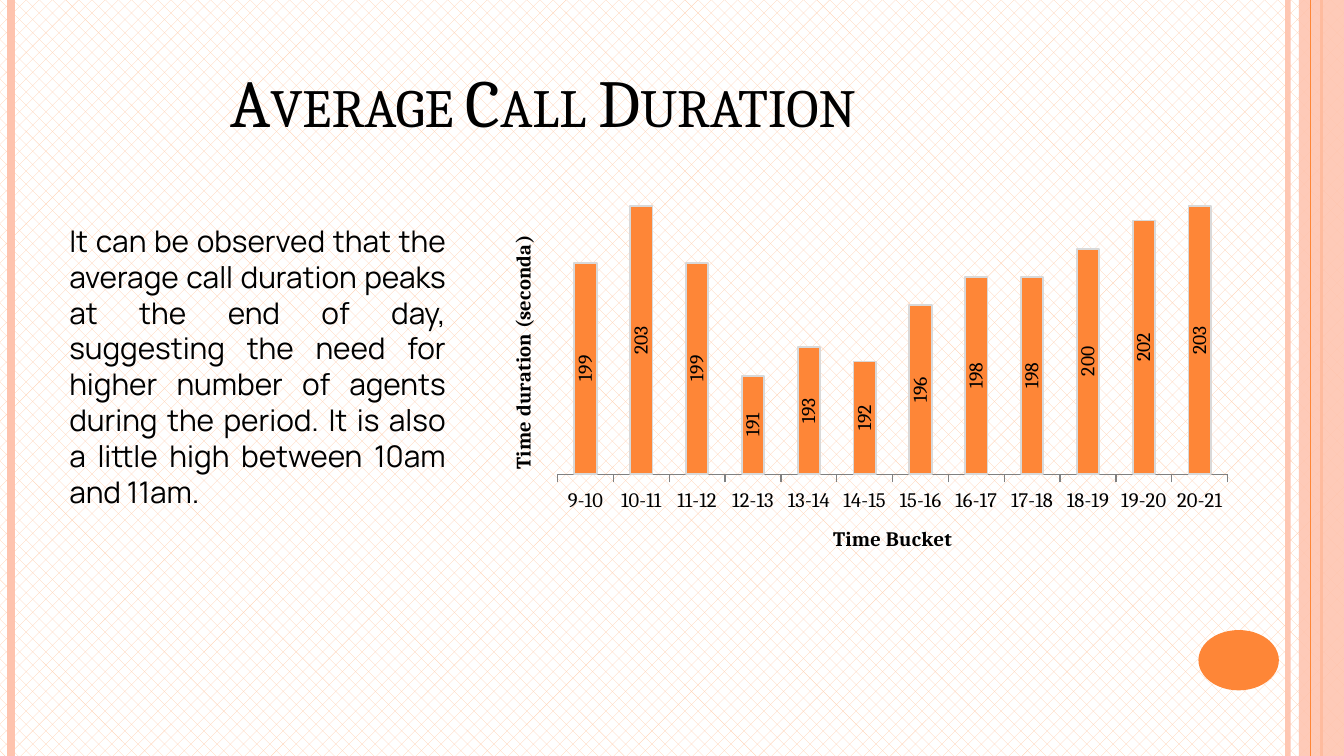
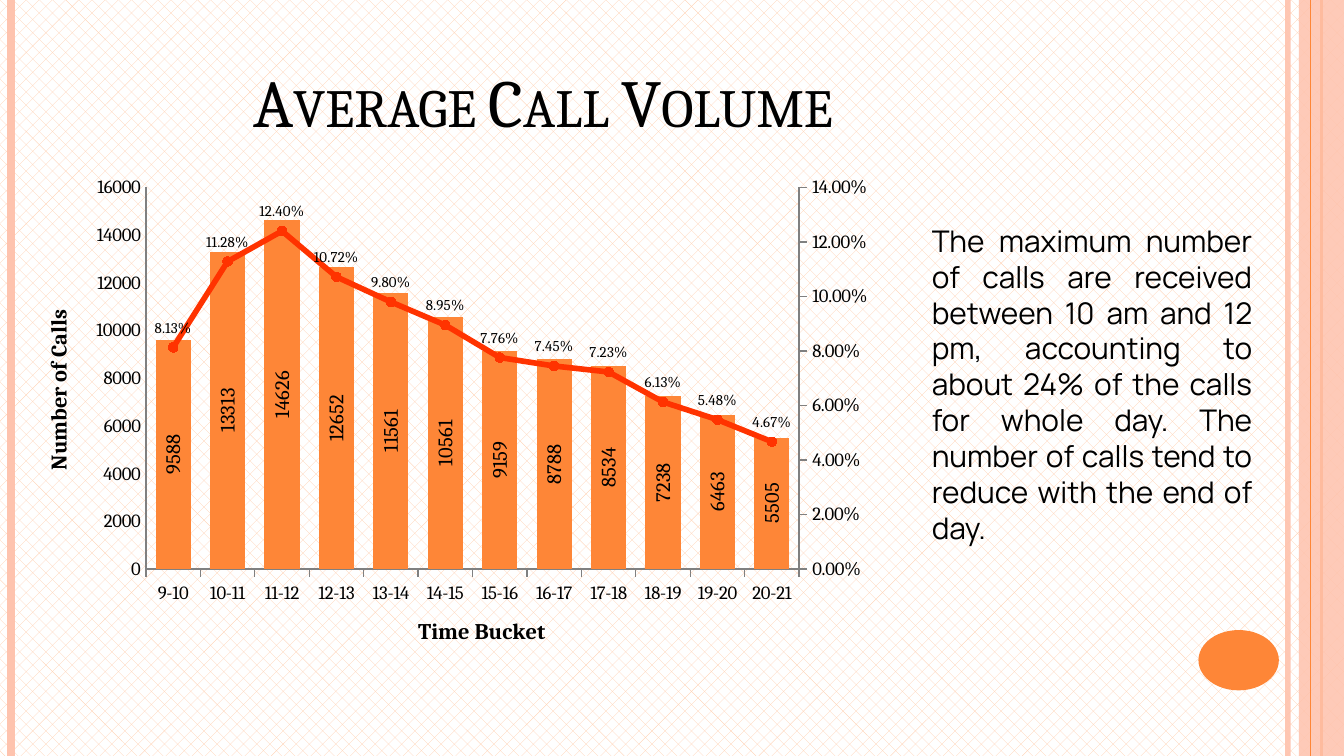
from copy import deepcopy

from lxml.etree import SubElement
from pptx import Presentation
from pptx.chart.axis import ValueAxis
from pptx.chart.data import CategoryChartData
from pptx.dml.color import RGBColor
from pptx.enum.chart import XL_CHART_TYPE as ChartType
from pptx.enum.chart import XL_LABEL_POSITION as LabelPos
from pptx.enum.chart import XL_MARKER_STYLE as Marker
from pptx.enum.chart import XL_TICK_MARK as Tick
from pptx.enum.dml import MSO_PATTERN as Pattern
from pptx.enum.shapes import MSO_CONNECTOR as Connector
from pptx.enum.shapes import MSO_SHAPE as Shape
from pptx.enum.text import MSO_ANCHOR as Anchor
from pptx.enum.text import PP_ALIGN as Align
from pptx.oxml.ns import qn
from pptx.util import Cm, Pt

COLORS = {
    "text": "000000", "paper": "FFFFFF", "hatch": "FFCFAF", "blush": "FEC3AE",
    "orange": "FE8637", "red": "FF3300", "axis": "808080", "bar_edge": "D9D9D9",
}
SERIF, SANS = "Cambria", "Manrope"
WIDTH, HEIGHT = 25.4, 14.29
UPRIGHT = "-5400000"

HOURS = [f"{hour}-{hour + 1}" for hour in range(9, 21)]

DURATION = {
    "title": "Average Call Duration",
    "remark": "It can be observed that the average call duration peaks at the end of day, "
              "suggesting the need for higher number of agents during the period. "
              "It is also a little high between 10am and 11am.",
    "remark_box": (1.06, 3.96, 7.62, 9.31),
    "chart_box": (9.1, 3.33, 14.39, 7.62),
    "plot_box": (0.1, 0.04, 0.88, 0.7),
    "seconds": (199, 203, 199, 191, 193, 192, 196, 198, 198, 200, 202, 203),
}
VOLUME = {
    "title": "Average Call Volume",
    "remark": "The maximum number of calls are received between 10 am and 12 pm, "
              "accounting to about 24% of the calls for whole day. "
              "The number of calls tend to reduce with the end of day.",
    "remark_box": (17.36, 3.96, 6.56, 9.31),
    "chart_box": (0.21, 3.33, 16.44, 9.31),
    "plot_box": (0.155, 0.023, 0.751, 0.775),
    "calls": (9588, 13313, 14626, 12652, 11561, 10561, 9159, 8788, 8534, 7238, 6463, 5505),
    "shares": (0.0813, 0.1128, 0.124, 0.1072, 0.098, 0.0895,
               0.0776, 0.0745, 0.0723, 0.0613, 0.0548, 0.0467),
}


def rgb(name):
    return RGBColor.from_string(COLORS[name])


def box(lengths):
    return [Cm(length) for length in lengths]


def set_font(font, size, face=SERIF, bold=False):
    font.size, font.name, font.bold = Pt(size), face, bold
    font.color.rgb = rgb("text")


def set_alpha(part, percent):
    color = next(part.iter(qn("a:srgbClr")))
    SubElement(color, qn("a:alpha")).set("val", str(percent * 1000))


def add_stripe(slide, x, width, color, alpha=None):
    stripe = slide.shapes.add_connector(Connector.STRAIGHT, Cm(x), 0, Cm(x), Cm(HEIGHT))
    stripe.line.color.rgb, stripe.line.width = rgb(color), Pt(width)
    properties = stripe._element.spPr
    if alpha:
        set_alpha(properties, alpha)
    SubElement(properties, qn("a:effectLst"))


def add_solid(slide, kind, color, *place):
    solid = slide.shapes.add_shape(kind, *box(place))
    solid.shadow.inherit = False
    solid.fill.solid()
    solid.fill.fore_color.rgb = rgb(color)
    solid.line.fill.background()
    return solid


def add_text(slide, text, place, size, face, align, anchor):
    frame = slide.shapes.add_textbox(*box(place)).text_frame
    frame.word_wrap, frame.vertical_anchor = True, anchor
    frame.margin_left = frame.margin_right = Cm(0.25)
    frame.margin_top = frame.margin_bottom = Cm(0.25)
    paragraph = frame.paragraphs[0]
    paragraph.text, paragraph.alignment = text, align
    set_font(paragraph.font, size, face)
    return paragraph


def add_page(deck, content):
    slide = deck.slides.add_slide(deck.slide_layouts[6])
    fill = slide.background.fill
    fill.patterned()
    fill.pattern = Pattern.PERCENT_30
    fill.fore_color.rgb, fill.back_color.rgb = rgb("hatch"), rgb("paper")

    add_stripe(slide, 24.34, 3, "blush", 93)
    add_stripe(slide, 0.21, 4.5, "blush")
    add_stripe(slide, 24.98, 1.5, "orange")
    band = add_solid(slide, Shape.RECTANGLE, "blush", 24.55, 0, WIDTH - 24.55, HEIGHT)
    set_alpha(band._element.spPr, 87)
    add_stripe(slide, 24.77, 0.75, "orange")
    add_solid(slide, Shape.OVAL, "orange", 22.65, 11.91, 1.52, 1.14)

    title = add_text(slide, content["title"], (1.48, 0.38, 17.57, 2.54),
                     36, SERIF, Align.CENTER, Anchor.BOTTOM)
    title.font._element.set("cap", "small")
    remark = add_text(slide, content["remark"], content["remark_box"],
                      16, SANS, Align.JUSTIFY, Anchor.TOP)
    remark.line_spacing = Pt(19.2)
    return slide


def add_hour_chart(slide, kind, content, gap, *series):
    data = CategoryChartData()
    data.categories = HOURS
    for number, (values, number_format) in enumerate(series, 1):
        data.add_series(f"Series {number}", values, number_format)
    chart = slide.shapes.add_chart(kind, *box(content["chart_box"]), data).chart
    set_font(chart.font, 18)
    chart.has_legend = chart.has_title = False
    chart.plots[0].gap_width, chart.plots[0].vary_by_categories = gap, False
    chart.value_axis.has_major_gridlines = False

    area = chart._chartSpace.chart.plotArea
    for layout in area.findall(qn("c:layout")):
        area.remove(layout)
    layout = SubElement(area, qn("c:layout"))
    area.insert(0, layout)
    manual = SubElement(layout, qn("c:manualLayout"))
    settings = [("layoutTarget", "inner"), ("xMode", "edge"), ("yMode", "edge"),
                *zip("xywh", content["plot_box"])]
    for tag, value in settings:
        SubElement(manual, qn(f"c:{tag}")).set("val", str(value))
    return chart


def style_axis(axis, size, tick):
    set_font(axis.tick_labels.font, size)
    axis.major_tick_mark, axis.minor_tick_mark = tick, Tick.NONE
    axis.format.line.color.rgb, axis.format.line.width = rgb("axis"), Pt(0.75)


def scale_axis(axis, low, high, step):
    axis.minimum_scale, axis.maximum_scale, axis.major_unit = low, high, step


def title_axis(axis, text, size, upright=False):
    frame = axis.axis_title.text_frame
    frame.text = text
    set_font(frame.paragraphs[0].font, size, bold=True)
    if upright:
        frame._txBody.bodyPr.set("rot", UPRIGHT)


def label_series(series, size, number_format, position, upright=False):
    labels = series.data_labels
    labels.show_value, labels.position = True, position
    labels.number_format, labels.number_format_is_linked = number_format, False
    set_font(labels.font, size)
    if upright:
        next(labels._element.iter(qn("a:bodyPr"))).set("rot", UPRIGHT)


def paint_bars(series, label_size):
    series.format.fill.solid()
    series.format.fill.fore_color.rgb = rgb("orange")
    label_series(series, label_size, "0", LabelPos.CENTER, upright=True)


def split_value_axes(chart):
    area = chart._chartSpace.chart.plotArea
    bars = area.find(qn("c:barChart"))
    shares = bars.findall(qn("c:ser"))[1]
    for flag in shares.findall(qn("c:invertIfNegative")):
        shares.remove(flag)

    left_axis = chart.value_axis
    hours, right = deepcopy(chart.category_axis._element), deepcopy(left_axis._element)
    ids = {"hours": "50010", "right": "50020"}
    for axis, own, other in ((hours, "hours", "right"), (right, "right", "hours")):
        axis.find(qn("c:axId")).set("val", ids[own])
        axis.find(qn("c:crossAx")).set("val", ids[other])
    hours.find(qn("c:delete")).set("val", "1")
    right.find(qn("c:axPos")).set("val", "r")
    right.find(qn("c:crosses")).set("val", "max")
    left_axis._element.addnext(right)
    right.addnext(hours)

    lines = SubElement(area, qn("c:lineChart"))
    bars.addnext(lines)
    SubElement(lines, qn("c:grouping")).set("val", "standard")
    SubElement(lines, qn("c:varyColors")).set("val", "0")
    lines.append(shares)
    SubElement(lines, qn("c:marker")).set("val", "1")
    for axis_id in ids.values():
        SubElement(lines, qn("c:axId")).set("val", axis_id)
    return left_axis, ValueAxis(right)


def add_duration(deck):
    slide = add_page(deck, DURATION)
    chart = add_hour_chart(slide, ChartType.COLUMN_STACKED, DURATION, 150,
                           (DURATION["seconds"], "0"))
    chart.plots[0].overlap = 100
    seconds = chart.plots[0].series[0]
    paint_bars(seconds, 10.5)
    seconds.format.line.color.rgb, seconds.format.line.width = rgb("bar_edge"), Pt(1)
    style_axis(chart.category_axis, 11, Tick.OUTSIDE)
    title_axis(chart.category_axis, "Time Bucket", 11)
    scale_axis(chart.value_axis, 184, 204, 2)
    title_axis(chart.value_axis, "Time duration (seconda)", 11, upright=True)
    chart.value_axis.visible = False


def add_volume(deck):
    slide = add_page(deck, VOLUME)
    chart = add_hour_chart(slide, ChartType.COLUMN_CLUSTERED, VOLUME, 55,
                           (VOLUME["calls"], "General"), (VOLUME["shares"], "0.00%"))
    calls_axis, shares_axis = split_value_axes(chart)
    paint_bars(chart.plots[0].series[0], 11)

    shares = chart.plots[1].series[0]
    shares.smooth = False
    shares.format.line.color.rgb, shares.format.line.width = rgb("red"), Pt(3)
    shares.marker.style, shares.marker.size = Marker.CIRCLE, 5
    shares.marker.format.fill.solid()
    shares.marker.format.fill.fore_color.rgb = rgb("red")
    shares.marker.format.line.color.rgb = rgb("red")
    label_series(shares, 8, "0.00%", LabelPos.ABOVE)

    style_axis(chart.category_axis, 10, Tick.OUTSIDE)
    style_axis(calls_axis, 10, Tick.NONE)
    style_axis(shares_axis, 10, Tick.OUTSIDE)
    scale_axis(calls_axis, 0, 16000, 2000)
    scale_axis(shares_axis, 0, 0.14, 0.02)
    shares_axis.tick_labels.number_format = "0.00%"
    shares_axis.tick_labels.number_format_is_linked = False
    title_axis(chart.category_axis, "Time Bucket", 12)
    title_axis(calls_axis, "Number of Calls", 12, upright=True)


def main():
    deck = Presentation()
    deck.slide_width, deck.slide_height = Cm(WIDTH), Cm(HEIGHT)
    add_duration(deck)
    add_volume(deck)
    deck.save("out.pptx")


if __name__ == "__main__":
    main()
